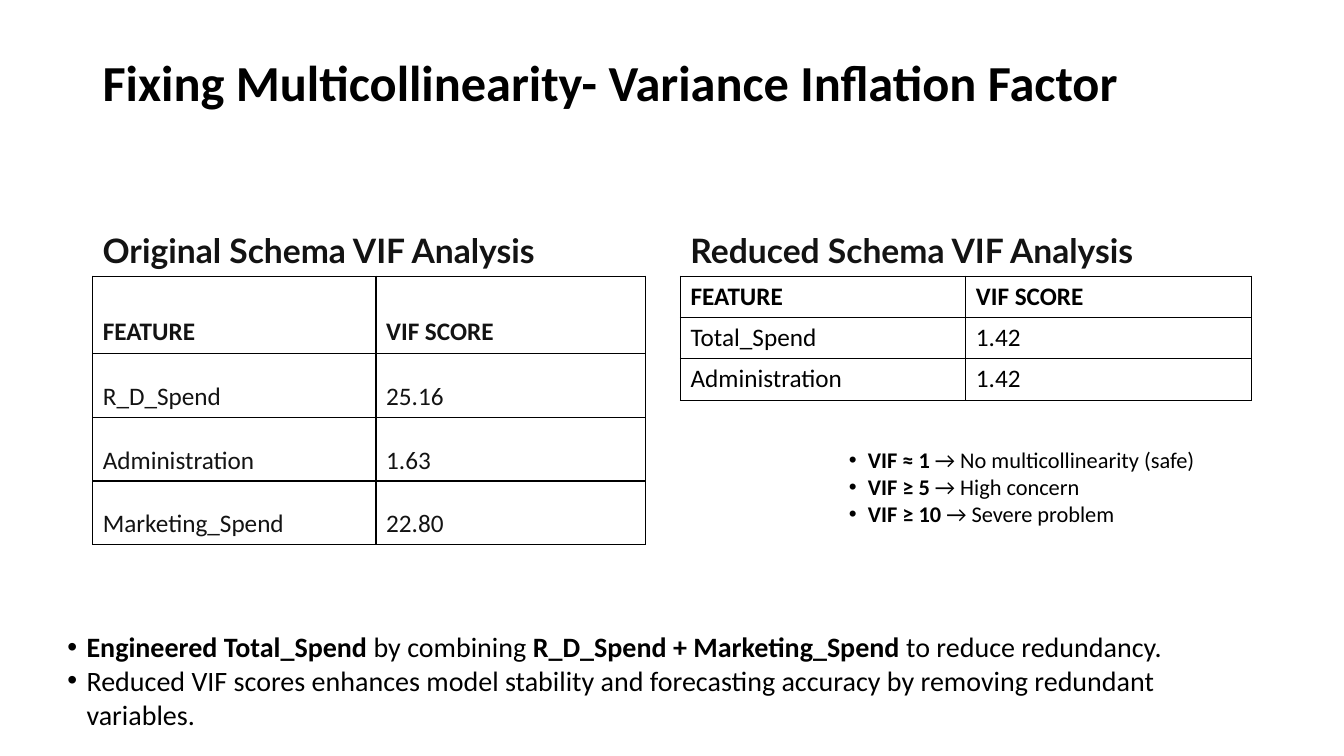
from dataclasses import dataclass

from lxml.etree import SubElement
from pptx import Presentation
from pptx.dml.color import RGBColor
from pptx.enum.text import MSO_ANCHOR
from pptx.oxml.ns import qn
from pptx.util import Inches, Pt

BLACK = RGBColor(0x00, 0x00, 0x00)
INK = RGBColor(0x13, 0x13, 0x13)
BODY_FONT, HEADING_FONT = "Calibri", "Lato"


@dataclass
class Heading:
    text: str
    box: tuple[float, float, float, float]
    size: int
    font: str
    color: RGBColor
    anchor: MSO_ANCHOR
    inset_top: float = 0.05
    space_before: int = 0


@dataclass
class VifTable:
    left: float
    columns: list[float]
    header_height: float
    row_height: float
    rows: list[tuple[str, str]]
    color: RGBColor
    header_spacing: float | None = None
    row_spacing: float | None = None


@dataclass
class BulletList:
    box: tuple[float, float, float, float]
    size: int
    items: list[list[tuple[str, bool]]]  # runs of (text, bold)


HEADINGS = [
    Heading("Fixing Multicollinearity- Variance Inflation Factor",
            (0.92, 0.4, 11.5, 1.45), 36, BODY_FONT, BLACK, MSO_ANCHOR.TOP, inset_top=0.18),
    Heading("Original Schema VIF Analysis", (0.92, 1.84, 5.64, 0.9),
            24, HEADING_FONT, INK, MSO_ANCHOR.BOTTOM, space_before=10),
    Heading("Reduced Schema VIF Analysis", (6.75, 1.84, 5.67, 0.9),
            24, HEADING_FONT, INK, MSO_ANCHOR.BOTTOM, space_before=10),
]

TABLE_TOP = 2.74
TABLE_HEADER = ("FEATURE", "VIF SCORE")
TABLES = [
    VifTable(0.92, [2.81, 2.67], 0.77, 0.63,
             [("R_D_Spend", "25.16"), ("Administration", "1.63"), ("Marketing_Spend", "22.80")],
             INK, header_spacing=46.5, row_spacing=38.2),
    VifTable(6.75, [2.83, 2.83], 0.41, 0.41,
             [("Total_Spend", "1.42"), ("Administration", "1.42")], BLACK),
]

LISTS = [
    BulletList((8.32, 4.38, 3.97, 1.21), 16, [
        [("VIF ≈ 1", True), (" → No multicollinearity (safe)", False)],
        [("VIF ≥ 5", True), (" → High concern", False)],
        [("VIF ≥ 10", True), (" → Severe problem", False)],
    ]),
    BulletList((0.57, 6.2, 11.83, 1.45), 20, [
        [("Engineered Total_Spend", True), (" by combining ", False),
         ("R_D_Spend + Marketing_Spend", True), (" to reduce redundancy.", False)],
        [("Reduced VIF scores enhances model stability and forecasting accuracy "
          "by removing redundant variables.", False)],
    ]),
]


def set_font(p, name: str, size: int, color: RGBColor) -> None:
    p.font.name = name
    p.font.size = Pt(size)
    p.font.color.rgb = color


def add_text_frame(s, box: tuple[float, float, float, float]):
    tf = s.shapes.add_textbox(*map(Inches, box)).text_frame
    tf.word_wrap = True
    return tf


def add_heading(s, heading: Heading) -> None:
    tf = add_text_frame(s, heading.box)
    tf.vertical_anchor = heading.anchor
    tf.margin_top = Inches(heading.inset_top)
    p = tf.paragraphs[0]
    p.text = heading.text
    p.line_spacing = 0.9
    p.space_before = Pt(heading.space_before)
    p.font.bold = True
    set_font(p, heading.font, heading.size, heading.color)


def add_borders(cell) -> None:
    props = cell._tc.get_or_add_tcPr()
    for index, side in enumerate(("a:lnL", "a:lnR", "a:lnT", "a:lnB")):
        line = SubElement(props, qn(side), w=str(Pt(1)))
        fill = SubElement(line, qn("a:solidFill"))
        SubElement(fill, qn("a:srgbClr"), val=str(BLACK))
        props.insert(index, line)  # borders precede the cell fill


def add_vif_table(s, spec: VifTable) -> None:
    rows = [TABLE_HEADER, *spec.rows]
    heights = [spec.header_height] + [spec.row_height] * len(spec.rows)
    table = s.shapes.add_table(
        len(rows), len(spec.columns), Inches(spec.left), Inches(TABLE_TOP),
        Inches(sum(spec.columns)), Inches(sum(heights))).table
    table.first_row = table.horz_banding = False
    for column, width in zip(table.columns, spec.columns):
        column.width = Inches(width)
    for i, (values, height) in enumerate(zip(rows, heights)):
        table.rows[i].height = Inches(height)
        spacing = spec.row_spacing if i else spec.header_spacing
        for j, value in enumerate(values):
            cell = table.cell(i, j)
            cell.fill.background()
            add_borders(cell)
            p = cell.text_frame.paragraphs[0]
            p.text = value
            p.font.bold = i == 0
            set_font(p, BODY_FONT, 18, spec.color)
            if spacing:
                cell.vertical_anchor = MSO_ANCHOR.MIDDLE
                p.line_spacing = Pt(spacing)


def add_bullet_list(s, bullets: BulletList) -> None:
    tf = add_text_frame(s, bullets.box)
    for i, runs in enumerate(bullets.items):
        p = tf.add_paragraph() if i else tf.paragraphs[0]
        set_font(p, BODY_FONT, bullets.size, BLACK)
        props = p._p.get_or_add_pPr()
        props.set("marL", str(Inches(0.19)))
        props.set("indent", str(-Inches(0.19)))
        # The bullet must come before the default run properties
        font = SubElement(props, qn("a:buFont"), typeface="Arial")
        mark = SubElement(props, qn("a:buChar"), char="•")
        props.insert(0, font)
        props.insert(1, mark)
        for text, bold in runs:
            r = p.add_run()
            r.text = text
            r.font.bold = bold


def main() -> None:
    prs = Presentation()
    prs.slide_width, prs.slide_height = Inches(13.33), Inches(7.5)
    s = prs.slides.add_slide(prs.slide_layouts[6])

    # Title and table headings
    for heading in HEADINGS:
        add_heading(s, heading)
    # VIF scores before and after the reduction
    for table in TABLES:
        add_vif_table(s, table)
    # Reading guide and conclusions
    for bullets in LISTS:
        add_bullet_list(s, bullets)

    prs.save("out.pptx")


if __name__ == "__main__":
    main()
